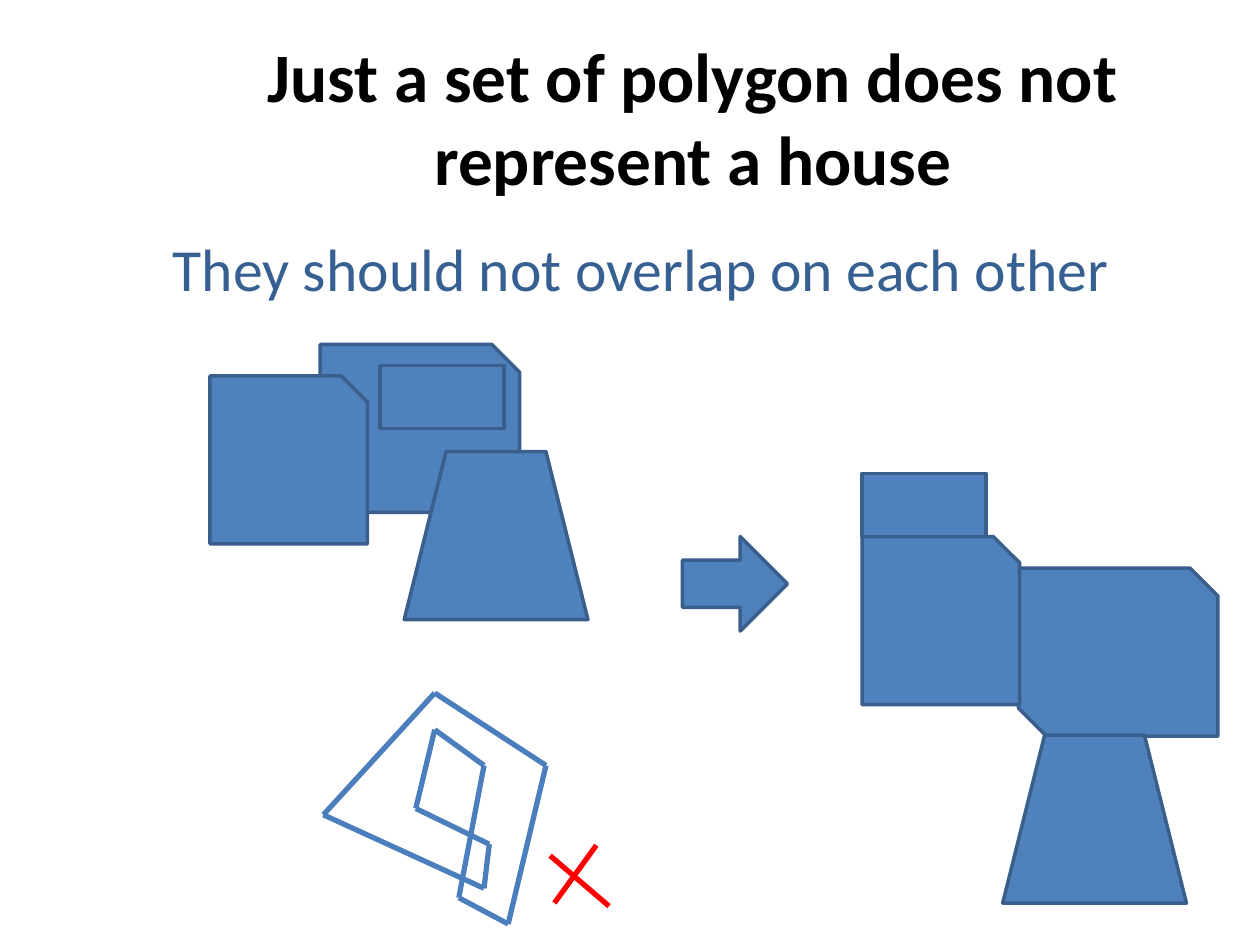
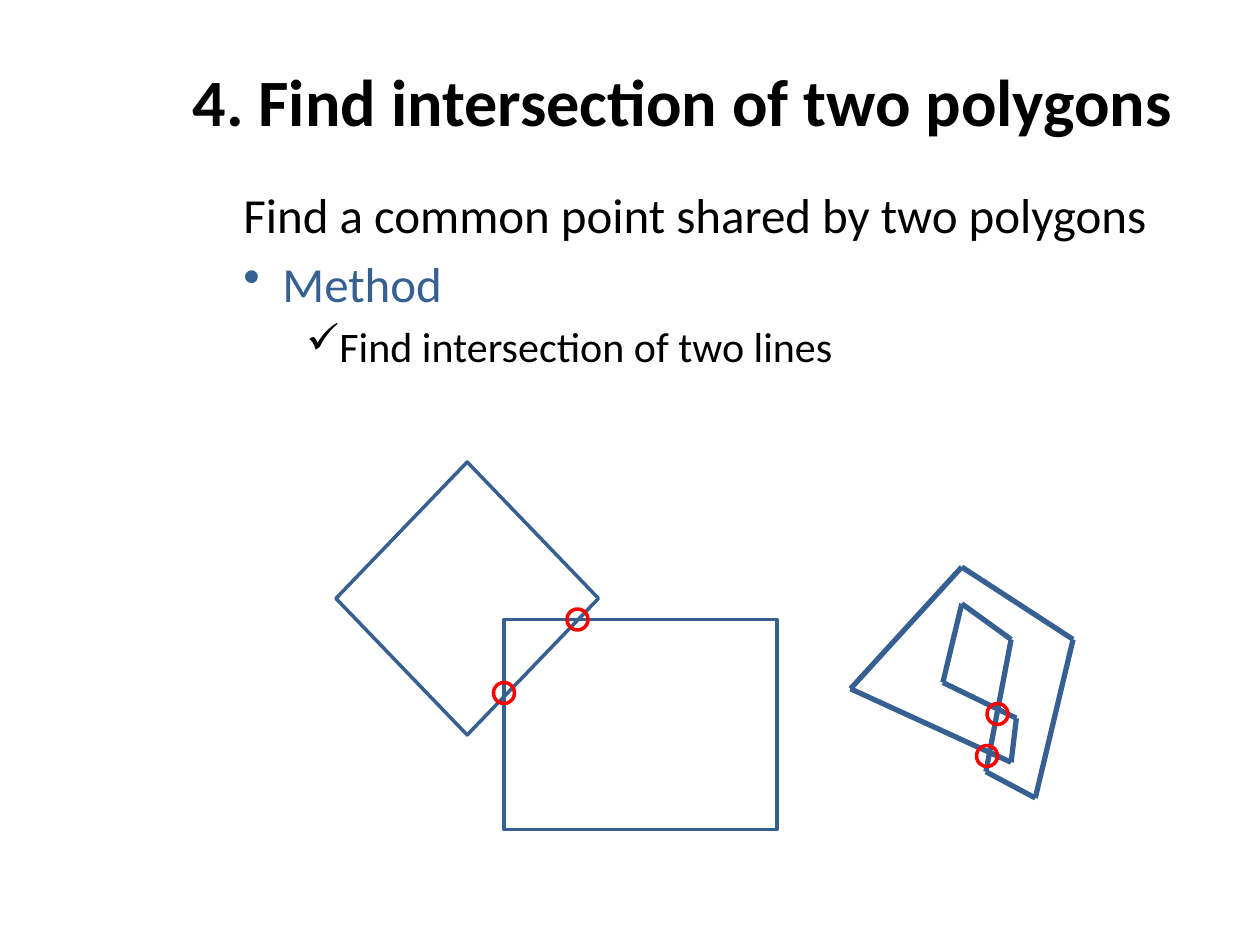
from lxml.etree import SubElement
from pptx import Presentation
from pptx.dml.color import RGBColor
from pptx.enum.shapes import MSO_CONNECTOR, MSO_SHAPE
from pptx.enum.text import MSO_ANCHOR, PP_ALIGN
from pptx.oxml.ns import qn
from pptx.util import Inches, Pt

COLORS = {
    "ink": "000000",
    "accent": "376092",
    "fill": "4F81BD",
    "edge": "3A5F8C",
    "sketch": "4B7EBC",
    "mark": "FF0000",
}
FONT = "Calibri"

presentation = Presentation()
presentation.slide_width, presentation.slide_height = Inches(10), Inches(7.5)
UNIT = presentation.slide_width / 120  # grid of 120 columns by 90 rows


def place(*cells):
    """Turn grid columns and rows into slide lengths."""
    return [round(cell * UNIT) for cell in cells]


def add_text(frame, text, size, color="ink", bold=False, align=PP_ALIGN.CENTER,
             anchor=MSO_ANCHOR.MIDDLE, margin=0, hanging=0, before=0, bullet=None):
    """Write text as the next paragraph of a text frame."""
    frame.word_wrap = True
    frame.vertical_anchor = anchor
    paragraph = frame.add_paragraph() if frame.text else frame.paragraphs[0]
    paragraph.alignment = align
    paragraph.space_before = Pt(before)
    run = paragraph.add_run()
    run.text = text
    run.font.name, run.font.size, run.font.bold = FONT, Pt(size), bold
    run.font.color.rgb = RGBColor.from_string(COLORS[color])
    properties = paragraph._p.get_or_add_pPr()
    properties.set("marL", str(Inches(margin)))
    properties.set("indent", str(-Inches(hanging)))
    if bullet:
        SubElement(properties, qn("a:buChar")).set("char", bullet)
    else:
        SubElement(properties, qn("a:buNone"))


blank = presentation.slide_layouts[6]
house_slide, intersection_slide = [presentation.slides.add_slide(blank) for _ in range(2)]

# Titles and the statement under the first one
for slide, box, text, style in [
    (house_slide, (12, 3.6, 108, 15), "Just a set of polygon does not represent a house",
     {"size": 39.6, "bold": True}),
    (house_slide, (7, 18, 108, 15), "They should not overlap on each other",
     {"size": 34.1, "color": "accent"}),
    (intersection_slide, (11, 2, 108, 15), "4. Find intersection of two polygons",
     {"size": 37.8, "bold": True}),
]:
    add_text(slide.shapes.add_textbox(*place(*box)).text_frame, text, **style)

# Method list
method_frame = intersection_slide.shapes.add_textbox(*place(16, 17, 104, 63.4)).text_frame
for text, size, color, margin, hanging, bullet in [
    ("Find a common point shared by two polygons", 28, "ink", 0.81, 0.31, None),
    ("Method", 28, "accent", 0.81, 0.31, "•"),
    ("Find intersection of two lines", 24, "ink", 1.25, 0.25, "✓"),
]:
    add_text(method_frame, text, size, color, align=PP_ALIGN.JUSTIFY, anchor=MSO_ANCHOR.TOP,
             margin=margin, hanging=hanging, before=size * 0.2, bullet=bullet)

# Self-crossing polygon on both slides, and the red cross beside the first
crossing_polygon = [(15.3, 6.9), (12.9, 19.5), (17.6, 22), (21.2, 6.9), (10.6, 0),
                    (0, 11.6), (15.3, 18.6), (15.8, 14.4), (8.8, 11), (10.6, 3.5)]
polygon_sides = list(zip(crossing_polygon, crossing_polygon[1:] + crossing_polygon[:1]))
cross_strokes = [((4.4, 0), (0.4, 5.5)), ((0, 1), (5.6, 5.8))]

for slide, color, left, top, segments in [
    (house_slide, "sketch", 30.8, 66, polygon_sides),
    (house_slide, "mark", 52.4, 80.5, cross_strokes),
    (intersection_slide, "accent", 81, 54, polygon_sides),
]:
    for (x1, y1), (x2, y2) in segments:
        line = slide.shapes.add_connector(
            MSO_CONNECTOR.STRAIGHT, *place(left + x1, top + y1, left + x2, top + y2))
        line.line.width = Pt(3)
        line.line.color.rgb = RGBColor.from_string(COLORS[color])
        SubElement(line._element.spPr, qn("a:effectLst"))

# House parts: size, then corner when overlapping and when set side by side
house_parts = [
    (MSO_SHAPE.SNIP_2_DIAG_RECTANGLE, (19, 16), (30.5, 32.8), (97, 54.1)),
    (MSO_SHAPE.TRAPEZOID, (17.5, 16), (38.5, 43), (95.5, 70)),
    (MSO_SHAPE.SNIP_1_RECTANGLE, (15, 16), (20, 35.8), (82.1, 51.1)),
    (MSO_SHAPE.RECTANGLE, (11.8, 6), (36.2, 34.8), (82.1, 45.1)),
]
figures = [(house_slide, MSO_SHAPE.RIGHT_ARROW, (65, 51.1, 10, 9), "fill", "edge")]
for kind, size, *corners in house_parts:
    figures += [(house_slide, kind, corner + size, "fill", "edge") for corner in corners]

# Two crossing outlines, and circles on the points of intersection
figures += [
    (intersection_slide, MSO_SHAPE.DIAMOND, (32, 44, 25, 26), None, "accent"),
    (intersection_slide, MSO_SHAPE.RECTANGLE, (48, 59, 26, 20), None, "accent"),
]
for corner in [(54, 58), (47, 65), (93, 71), (94, 67)]:
    figures.append((intersection_slide, MSO_SHAPE.FLOWCHART_CONNECTOR,
                    corner + (2, 2), None, "mark"))

for slide, kind, box, fill, edge in figures:
    shape = slide.shapes.add_shape(kind, *place(*box))
    shape.shadow.inherit = False
    if fill:
        shape.fill.solid()
        shape.fill.fore_color.rgb = RGBColor.from_string(COLORS[fill])
    else:
        shape.fill.background()
    shape.line.width = Pt(2)
    shape.line.color.rgb = RGBColor.from_string(COLORS[edge])

presentation.save("out.pptx")
